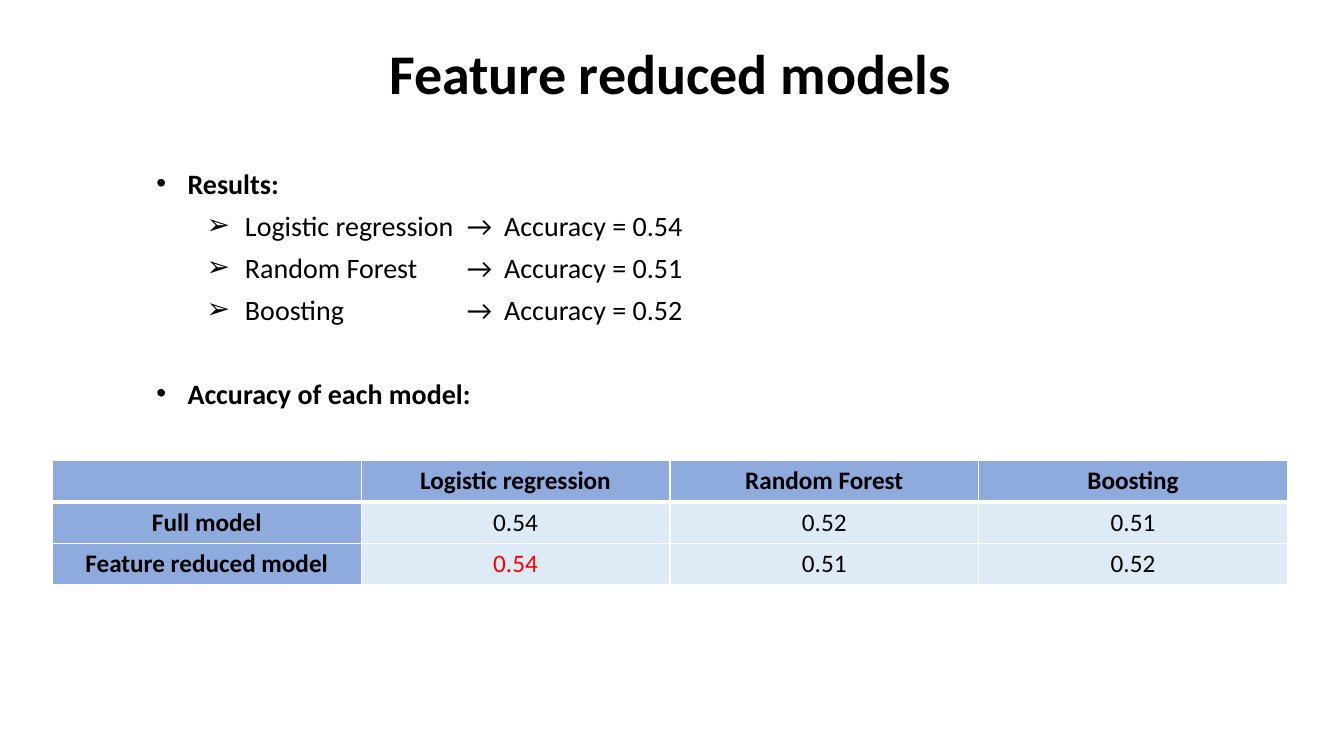
from lxml import etree
from pptx import Presentation
from pptx import util as u
from pptx.dml.color import RGBColor
from pptx.enum import text
from pptx.oxml.ns import qn


def paint(color_format, value):
    color_format.rgb = RGBColor.from_string(value)


def add_text(para, words, size=20, bold=False, color="000000", font="Calibri"):
    span = para.add_run()
    span.text = words
    span.font.name = font
    span.font.size = u.Pt(size)
    span.font.bold = bold
    paint(span.font.color, color)


def add_child(parent, tag, **attributes):
    child = etree.SubElement(parent, qn(tag))
    for name, value in attributes.items():
        child.set(name, str(value))
    return child


class ResultsPage:
    HEADER = "8FAADC"
    BODY = "DEEBF7"
    RULE = "FFFFFF"
    ACCENT = "FF0000"

    def __init__(self, deck):
        self.page = deck.slides.add_slide(deck.slide_layouts[1])

    def place(self, box, left, top, width, height):
        box.left, box.top = u.Inches(left), u.Inches(top)
        box.width, box.height = u.Inches(width), u.Inches(height)

    def title(self, words, *area):
        box = self.page.shapes.title
        self.place(box, *area)
        box.text_frame.word_wrap = False
        para = box.text_frame.paragraphs[0]
        para.alignment = text.PP_ALIGN.CENTER
        add_text(para, words, size=40, bold=True)

    def bullets(self, items, *area):
        box = self.page.placeholders[1]
        self.place(box, *area)
        frame = box.text_frame
        frame.word_wrap = True
        frame.auto_size = text.MSO_AUTO_SIZE.NONE
        frame.vertical_anchor = text.MSO_ANCHOR.TOP
        for index, (level, words, before) in enumerate(items):
            para = frame.paragraphs[0] if index == 0 else frame.add_paragraph()
            self.bullet(para, level)
            para.space_before = u.Pt(before)
            add_text(para, words, bold=level == 0)

    def bullet(self, para, level):
        symbol, margin, hanging = [("•", 0.31, 0.31), ("➢", 0.88, 0.38)][level]
        para.level = level
        properties = para._p.get_or_add_pPr()
        properties.set("marL", str(u.Inches(margin)))
        properties.set("indent", str(-u.Inches(hanging)))
        add_child(properties, "a:buFont", typeface="Arial")
        add_child(properties, "a:buChar", char=symbol)
        if level == 1:
            stops = add_child(properties, "a:tabLst")
            for stop in (3.08, 3.45):
                add_child(stops, "a:tab", pos=u.Inches(stop), algn="l")

    def table(self, rows, highlight, left, top, width, row_height):
        grid = self.page.shapes.add_table(
            len(rows), len(rows[0]), u.Inches(left), u.Inches(top),
            u.Inches(width), u.Inches(row_height * len(rows))).table
        for row_index, row in enumerate(rows):
            for column_index, words in enumerate(row):
                cell = grid.cell(row_index, column_index)
                heading = row_index == 0 or column_index == 0
                self.borders(cell, row_index)
                cell.fill.solid()
                paint(cell.fill.fore_color, self.HEADER if heading else self.BODY)
                para = cell.text_frame.paragraphs[0]
                para.alignment = text.PP_ALIGN.CENTER
                marked = (row_index, column_index) == highlight
                if words:
                    add_text(para, words, size=18, bold=heading,
                             color=self.ACCENT if marked else "000000")

    def borders(self, cell, row_index):
        properties = cell._tc.get_or_add_tcPr()
        widths = {"L": 1, "R": 1, "T": 3 if row_index == 1 else 1,
                  "B": 3 if row_index == 0 else 1}
        for side, width in widths.items():
            line = add_child(properties, f"a:ln{side}", w=u.Pt(width))
            fill = add_child(line, "a:solidFill")
            add_child(fill, "a:srgbClr", val=self.RULE)


def main():
    deck = Presentation()
    deck.slide_width, deck.slide_height = u.Inches(13.33), u.Inches(7.5)
    slide = ResultsPage(deck)
    slide.title("Feature reduced models", 3.73, 0.33, 5.83, 0.77)
    slide.bullets([
        (0, "Results:", 0),
        (1, "Logistic regression\t→\tAccuracy = 0.54", 6),
        (1, "Random Forest\t→\tAccuracy = 0.51", 6),
        (1, "Boosting\t→\tAccuracy = 0.52", 6),
        (0, "Accuracy of each model:", 36),
    ], 1.45, 1.6, 5.83, 2.54)
    slide.table([
        ["", "Logistic regression", "Random Forest", "Boosting"],
        ["Full model", "0.54", "0.52", "0.51"],
        ["Feature reduced model", "0.54", "0.51", "0.52"],
    ], (2, 1), 0.52, 4.57, 12.25, 0.41)
    deck.save("out.pptx")


if __name__ == "__main__":
    main()
